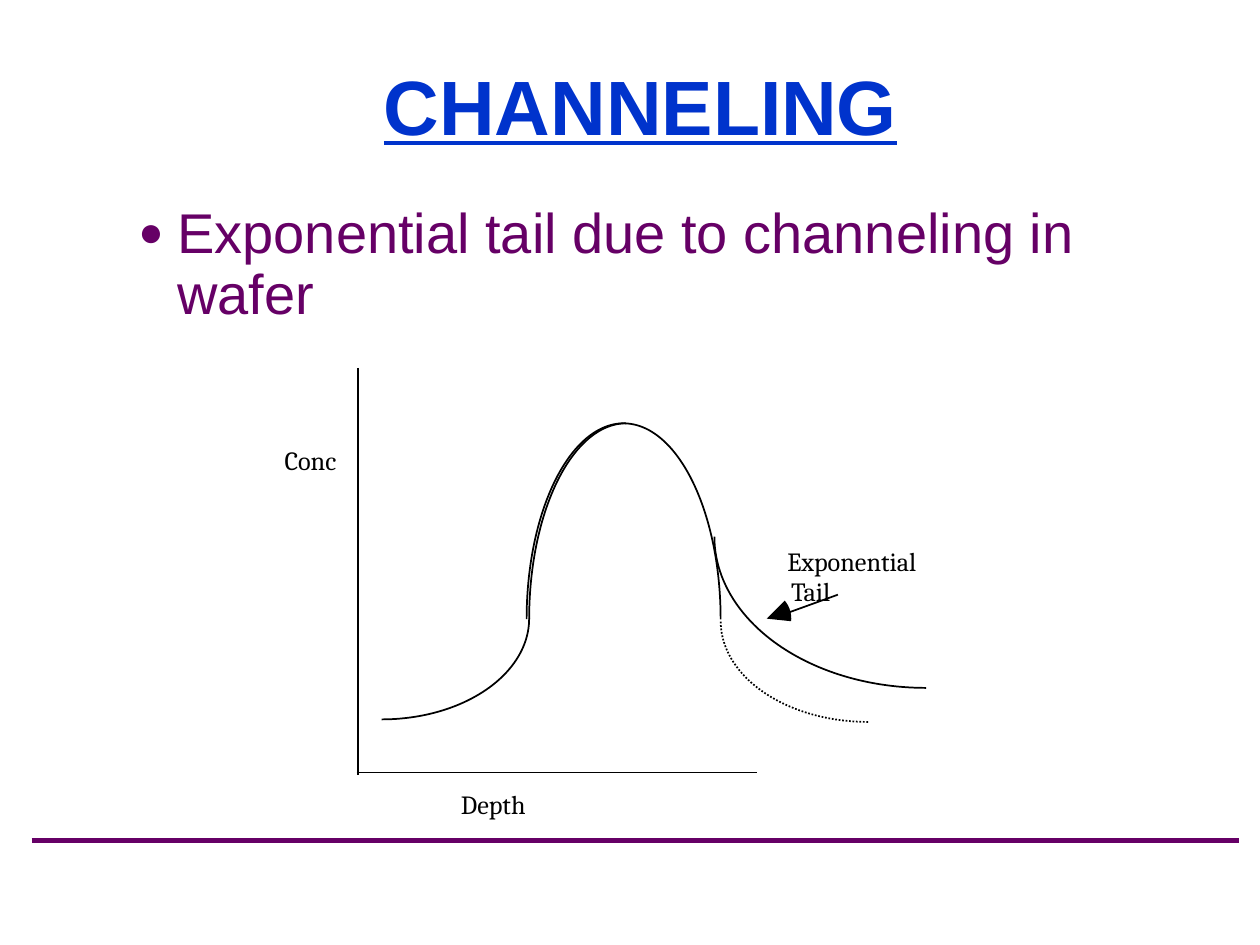
from dataclasses import dataclass

from lxml.etree import SubElement
from pptx import Presentation
from pptx.dml.color import RGBColor
from pptx.enum.dml import MSO_LINE_DASH_STYLE as Dash
from pptx.enum.shapes import MSO_CONNECTOR as Connector, MSO_SHAPE as Shape
from pptx.enum.text import MSO_ANCHOR as Anchor, PP_ALIGN as Align
from pptx.oxml.ns import qn
from pptx.util import Inches, Pt


@dataclass(frozen=True)
class Theme:
    title: str = "0033CC"
    accent: str = "660066"
    ink: str = "000000"
    heading_font: str = "Arial"
    label_font: str = "Cambria"
    title_size: int = 44
    body_size: int = 32
    label_size: int = 15
    thin: float = 1
    thick: float = 3


@dataclass(frozen=True)
class Box:
    """A region measured in grid cells; ten cells make one inch."""
    left: float
    top: float
    width: float
    height: float

    def inner(self, column, row, width, height):
        return Box(self.left + column, self.top + row, width, height)

    def lengths(self):
        return [Inches(cells / 10) for cells in
                (self.left, self.top, self.width, self.height)]


THEME = Theme()
COLUMNS, ROWS = 100, 75


def add_text(slide, box, text, font_name, size, color, wrap=True):
    frame = slide.shapes.add_textbox(*box.lengths()).text_frame
    frame.word_wrap = wrap
    frame.text = text
    paragraph = frame.paragraphs[0]
    font = paragraph.runs[0].font
    font.name, font.size = font_name, Pt(size)
    font.color.rgb = RGBColor.from_string(color)
    return frame, paragraph, font


def add_line(slide, box, color, width):
    left, top, across, down = box.lengths()
    line = slide.shapes.add_connector(
        Connector.STRAIGHT, left, top, left + across, top + down)
    line.line.color.rgb = RGBColor.from_string(color)
    line.line.width = Pt(width)
    SubElement(line._element.spPr, qn("a:effectLst"))


def add_sector(slide, kind, box, start, end):
    """Arc or pie of an ellipse; angles in degrees, clockwise from the right."""
    shape = slide.shapes.add_shape(kind, *box.lengths())
    shape.shadow.inherit = False
    for index, angle in enumerate((start, end)):
        shape.adjustments[index] = angle * 0.6  # 60000 units a degree
    return shape


def add_arc(slide, box, start, dash=None):
    arc = add_sector(slide, Shape.ARC, box, start, (start + 90) % 360)
    arc.fill.background()
    arc.line.color.rgb = RGBColor.from_string(THEME.ink)
    arc.line.width = Pt(THEME.thin)
    if dash:
        arc.line.dash_style = dash


def add_title(slide, box):
    frame, paragraph, font = add_text(
        slide, box, "CHANNELING", THEME.heading_font, THEME.title_size, THEME.title)
    frame.vertical_anchor = Anchor.MIDDLE
    paragraph.alignment = Align.CENTER
    paragraph.line_spacing = 0.9
    font.bold = font.underline = True


def add_body(slide, box):
    _, paragraph, _ = add_text(
        slide, box, "Exponential tail due to channeling in wafer",
        THEME.heading_font, THEME.body_size, THEME.accent)
    paragraph.line_spacing = 0.9
    # Hanging bullet
    properties = paragraph._p.get_or_add_pPr()
    indent = Inches(0.31)
    properties.set("marL", str(indent))
    properties.set("indent", str(-indent))
    color = SubElement(properties, qn("a:buClr"))
    SubElement(color, qn("a:srgbClr"), val=THEME.accent)
    SubElement(properties, qn("a:buSzPct"), val="75000")
    SubElement(properties, qn("a:buFont"), typeface=THEME.heading_font)
    SubElement(properties, qn("a:buChar"), char="●")


def add_profile(slide, box):
    # Depth and concentration axes
    for axis in ((9.8, 0, 0, 32.3), (9.7, 32.1, 31.8, 0)):
        add_line(slide, box.inner(*axis), THEME.ink, THEME.thin)

    # Foot, peak and exponential tail; the dotted arc is the ideal profile
    foot, ideal = (0, 11.9, 23.4, 16), (38.6, 12.1, 23.4, 16)
    rise, peak = (23.4, 4.4, 15.4, 31.1), (23.2, 4.4, 15.4, 31.1)
    tail = (38.1, 1.4, 33.6, 24)
    for ellipse, start, dash in (
            (foot, 0, None), (ideal, 90, Dash.ROUND_DOT), (rise, 180, None),
            (peak, 180, None), (peak, 270, None), (tail, 90, None)):
        add_arc(slide, box.inner(*ellipse), start, dash)

    # Pointer to the tail
    head = add_sector(slide, Shape.PIE, box.inner(40.3, 17.8, 3.9, 4.2), 315, 6)
    head.fill.solid()
    head.fill.fore_color.rgb = RGBColor.from_string(THEME.ink)
    head.line.fill.background()
    add_line(slide, box.inner(47.9, 18, -4.7, 1.7), THEME.ink, THEME.thin)

    # Labels
    for text, column, row, width in (
            ("Exponential", 42.9, 13.6, 14.6), ("Tail", 43.2, 16, 5.8),
            ("Conc", 3, 5.6, 6.9), ("Depth", 17, 32.9, 8)):
        add_text(slide, box.inner(column, row, width, 3.5), text,
                 THEME.label_font, THEME.label_size, THEME.ink, wrap=False)


def add_footer_rule(slide, box):
    add_line(slide, box, THEME.accent, THEME.thick)


def main():
    presentation = Presentation()
    presentation.slide_width = Inches(COLUMNS / 10)
    presentation.slide_height = Inches(ROWS / 10)
    slide = presentation.slides.add_slide(presentation.slide_layouts[6])

    add_footer_rule(slide, Box(2.5, 66.7, 95.8, 0))
    add_title(slide, Box(9.1, 2.5, 83.5, 12.5))
    add_body(slide, Box(10, 15.8, 78.3, 45))
    add_profile(slide, Box(18.6, 29.2, 57.5, 36.4))

    presentation.save("out.pptx")


if __name__ == "__main__":
    main()
